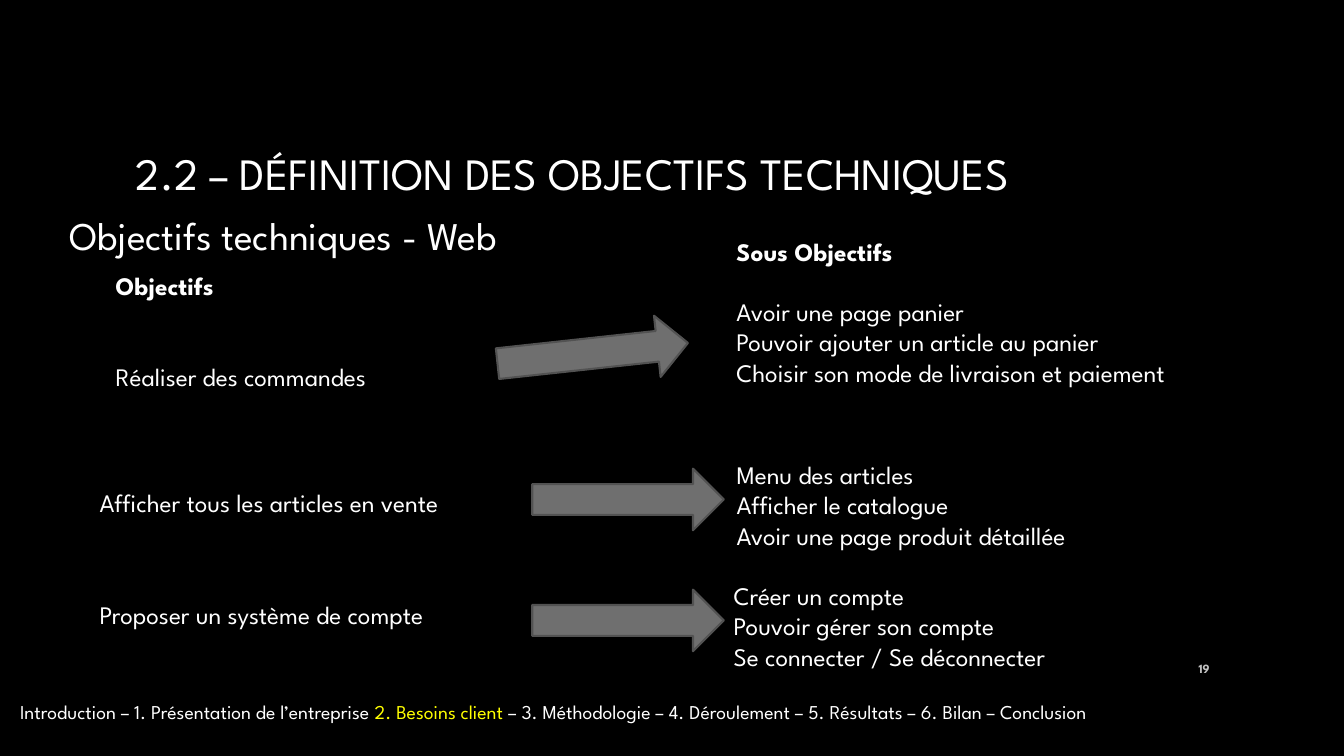
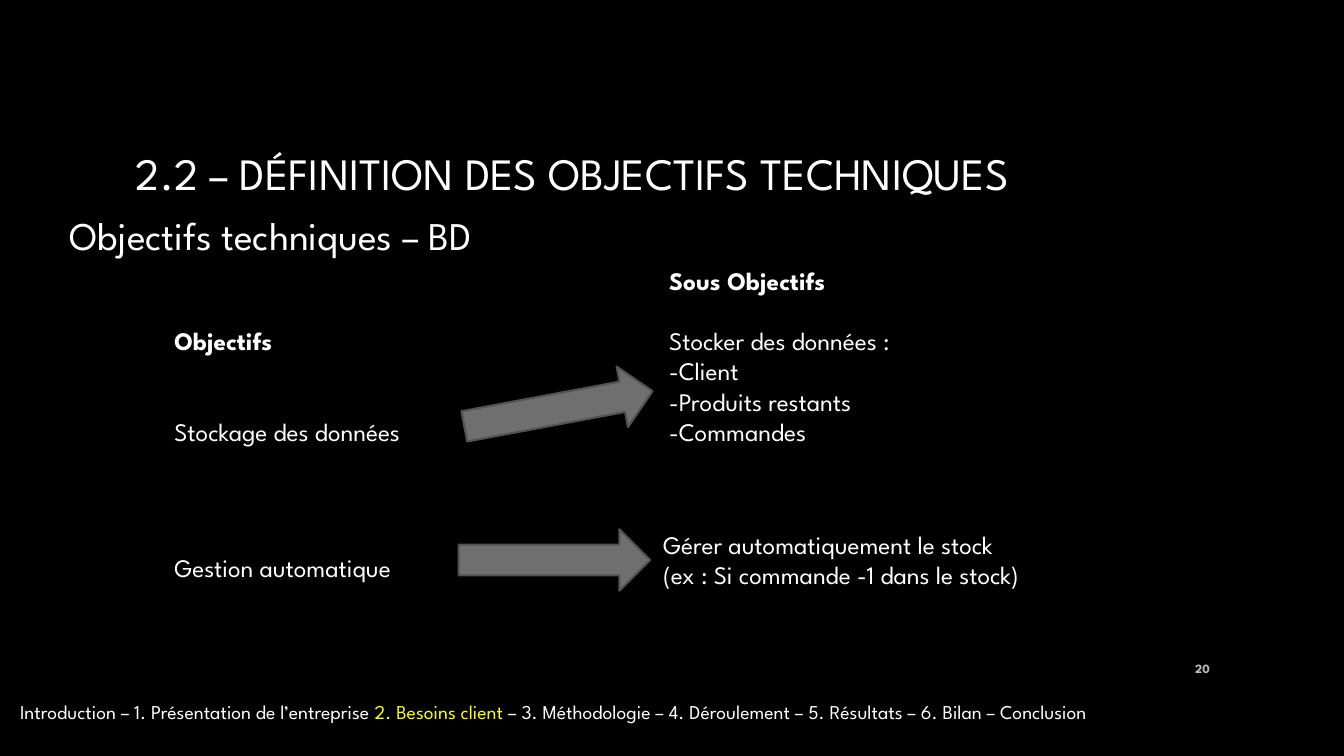
from dataclasses import dataclass

from pptx import Presentation
from pptx import util as u
from pptx.dml.color import RGBColor
from pptx.enum import shapes, text

FONT = "League Spartan"
BLACK, WHITE, YELLOW = "000000", "FFFFFF", "FFFF00"
PALE_GREY, ARROW_FILL, ARROW_LINE = "BFBFBF", "6F6F6F", "525252"
BODY_SIZE = 18
LINE_HEIGHT = 21.6
ARROW_WIDTH, ARROW_HEIGHT = 136.8, 44
TITLE = "2.2 – DÉFINITION DES OBJECTIFS TECHNIQUES"


@dataclass(frozen=True)
class Run:
    content: str
    size: float = BODY_SIZE
    color: str = WHITE
    bold: bool = False


@dataclass(frozen=True)
class Box:
    left: float
    top: float
    width: float
    height: float


@dataclass(frozen=True)
class Block:
    box: Box
    lines: tuple[str, ...]
    heading: str = ""
    blank_lines: int = 0


@dataclass(frozen=True)
class Arrow:
    left: float
    top: float
    rotation: float = 0


@dataclass(frozen=True)
class Page:
    number: int
    subtitle: str
    blocks: tuple[Block, ...]
    arrows: tuple[Arrow, ...]


FOOTER = (
    Run("Introduction – 1. Présentation de l’entreprise ", 14),
    Run("2. Besoins client ", 14, YELLOW),
    Run("– 3. Méthodologie – 4. Déroulement – 5. Résultats – 6. Bilan – Conclusion", 14),
)

PAGES = (
    Page(
        19,
        "Objectifs techniques - Web",
        (
            Block(Box(75.6, 189.4, 390, 116.6), ("Réaliser des commandes",), "Objectifs", 2),
            Block(
                Box(519, 165, 376.6, 138),
                (
                    "Avoir une page panier",
                    "Pouvoir ajouter un article au panier",
                    "Choisir son mode de livraison et paiement",
                ),
                "Sous Objectifs",
                1,
            ),
            Block(Box(64, 344.2, 306, 28.8), ("Afficher tous les articles en vente",)),
            Block(Box(64, 424.8, 327.6, 28.8), ("Proposer un système de compte",)),
            Block(
                Box(519, 324.7, 430, 72.7),
                ("Menu des articles", "Afficher le catalogue", "Avoir une page produit détaillée"),
            ),
            Block(
                Box(517, 411.1, 430, 72.7),
                ("Créer un compte", "Pouvoir gérer son compte", "Se connecter / Se déconnecter"),
            ),
        ),
        (Arrow(355, 230.4, 353.8), Arrow(380.2, 334.8), Arrow(380.2, 421.2)),
    ),
    Page(
        20,
        "Objectifs techniques – BD",
        (
            Block(Box(117.4, 229, 259.2, 159.8), ("Stockage des données",), "Objectifs", 2),
            Block(
                Box(470.9, 185.8, 376.6, 203.8),
                ("Stocker des données :", "-Client", "-Produits restants", "-Commandes"),
                "Sous Objectifs",
                1,
            ),
            Block(Box(117.4, 391, 480, 28.8), ("Gestion automatique",)),
            Block(
                Box(466.6, 374.6, 480, 51),
                ("Gérer automatiquement le stock", "(ex : Si commande -1 dans le stock)"),
            ),
        ),
        (Arrow(327.6, 378), Arrow(330.5, 270, 349.4)),
    ),
)


def rgb(value: str) -> RGBColor:
    return RGBColor.from_string(value)


def add_run(paragraph, item: Run) -> None:
    run = paragraph.add_run()
    run.text = item.content
    run.font.name = FONT
    run.font.size = u.Pt(item.size)
    run.font.bold = item.bold
    run.font.color.rgb = rgb(item.color)


def add_text(
    slide,
    box: Box,
    paragraphs: list[tuple[Run, ...]],
    anchor=text.MSO_ANCHOR.TOP,
    alignment=text.PP_ALIGN.LEFT,
):
    shape = slide.shapes.add_textbox(
        u.Pt(box.left), u.Pt(box.top), u.Pt(box.width), u.Pt(box.height)
    )
    frame = shape.text_frame
    frame.word_wrap = True
    frame.vertical_anchor = anchor
    for index, runs in enumerate(paragraphs):
        paragraph = frame.add_paragraph() if index else frame.paragraphs[0]
        paragraph.alignment = alignment
        for item in runs:
            add_run(paragraph, item)
    return frame


def add_block(slide, block: Block) -> None:
    heading = [(Run(block.heading, bold=True),)] if block.heading else []
    frame = add_text(slide, block.box, heading + [(Run(line),) for line in block.lines])
    if heading:
        frame.paragraphs[1].space_before = u.Pt(block.blank_lines * LINE_HEIGHT)


def add_arrow(slide, arrow: Arrow) -> None:
    shape = slide.shapes.add_shape(
        shapes.MSO_SHAPE.RIGHT_ARROW,
        u.Pt(arrow.left), u.Pt(arrow.top), u.Pt(ARROW_WIDTH), u.Pt(ARROW_HEIGHT),
    )
    shape.rotation = arrow.rotation
    shape.shadow.inherit = False
    shape.fill.solid()
    shape.fill.fore_color.rgb = rgb(ARROW_FILL)
    shape.line.color.rgb = rgb(ARROW_LINE)
    shape.line.width = u.Pt(1.5)


def add_page(presentation, page: Page) -> None:
    slide = presentation.slides.add_slide(presentation.slide_layouts[6])
    background = slide.background.fill
    background.solid()
    background.fore_color.rgb = rgb(BLACK)
    middle, bottom = text.MSO_ANCHOR.MIDDLE, text.MSO_ANCHOR.BOTTOM
    add_text(slide, Box(90, 48.2, 780, 150), [(Run(TITLE, 32),)], middle)
    add_text(
        slide,
        Box(828, 463, 43.2, 28.8),
        [(Run(str(page.number), 9, PALE_GREY, True),)],
        middle,
        text.PP_ALIGN.RIGHT,
    )
    add_text(slide, Box(7.2, 497.5, 939.6, 23), [FOOTER], bottom)
    add_text(slide, Box(42.5, 147.6, 569.5, 41.8), [(Run(page.subtitle, 28),)])
    for block in page.blocks:
        add_block(slide, block)
    for arrow in page.arrows:
        add_arrow(slide, arrow)


def main() -> None:
    presentation = Presentation()
    presentation.slide_width = u.Pt(960)
    presentation.slide_height = u.Pt(540)
    for page in PAGES:
        add_page(presentation, page)
    presentation.save("out.pptx")


if __name__ == "__main__":
    main()
